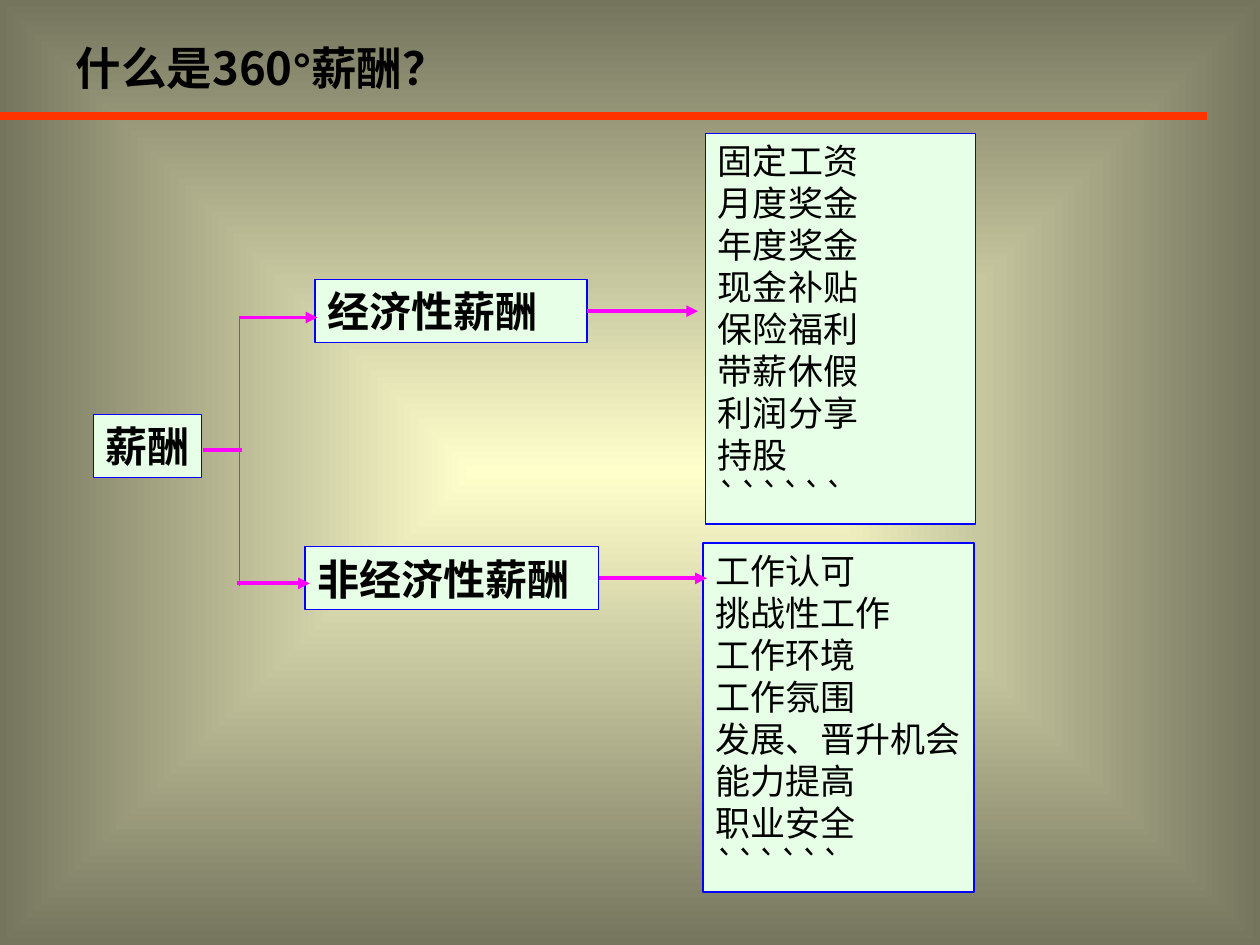
import pptx
import pptx.util
import pptx.dml.color
import pptx.enum.shapes
import pptx.enum.text
import pptx.oxml
import pptx.oxml.ns

Inches = pptx.util.Inches
RGBColor = pptx.dml.color.RGBColor
qn = pptx.oxml.ns.qn

FONT = "Noto Sans CJK SC"
BLACK = RGBColor(0x00, 0x00, 0x00)
CREAM = RGBColor(0xFF, 0xFF, 0xCC)
OLIVE = RGBColor(0x75, 0x75, 0x5E)
MINT = RGBColor(0xE7, 0xFF, 0xE7)
BLUE = RGBColor(0x00, 0x00, 0xFF)
RED = RGBColor(0xFF, 0x33, 0x00)
MAGENTA = RGBColor(0xFF, 0x00, 0xFF)

ECONOMIC = ["固定工资", "月度奖金", "年度奖金", "现金补贴", "保险福利",
            "带薪休假", "利润分享", "持股", "``````"]
NON_ECONOMIC = ["工作认可", "挑战性工作", "工作环境", "工作氛围",
                "发展、晋升机会", "能力提高", "职业安全", "``````"]


def add_text(p, text, size=20, bold=False, font=FONT, color=BLACK):
    """Append one formatted run to a paragraph."""
    r = p.add_run()
    r.text = text
    r.font.size = pptx.util.Pt(size)
    r.font.bold = bold
    r.font.name = font
    r.font.color.rgb = color
    ea = pptx.oxml.parse_xml(
        f'<a:ea {pptx.oxml.ns.nsdecls("a")} typeface="{FONT}"/>')
    r.font._element.find(qn("a:latin")).addnext(ea)


def add_box(s, box, lines, wrap=True, **fmt):
    """Draw a bordered box with one paragraph per line of text."""
    sp = s.shapes.add_shape(pptx.enum.shapes.MSO_SHAPE.RECTANGLE,
                            *map(Inches, box))
    sp.shadow.inherit = False
    sp.fill.solid()
    sp.fill.fore_color.rgb = MINT
    sp.line.color.rgb = BLUE
    sp.line.width = pptx.util.Pt(0.75)
    tf = sp.text_frame
    tf.word_wrap = wrap
    tf.vertical_anchor = pptx.enum.text.MSO_ANCHOR.TOP
    for i, text in enumerate(lines):
        p = tf.add_paragraph() if i else tf.paragraphs[0]
        p.alignment = pptx.enum.text.PP_ALIGN.LEFT
        add_text(p, text, **fmt)
    return sp


def add_line(s, x1, y1, x2, y2, color=MAGENTA, width=2.25, arrow=False):
    """Draw a straight line, with an optional arrowhead at its end."""
    c = s.shapes.add_connector(pptx.enum.shapes.MSO_CONNECTOR.STRAIGHT,
                               *map(Inches, (x1, y1, x2, y2)))
    c.line.color.rgb = color
    c.line.width = pptx.util.Pt(width)
    ns = pptx.oxml.ns.nsdecls("a")
    if arrow:
        c.line._get_or_add_ln().append(
            pptx.oxml.parse_xml(f'<a:tailEnd {ns} type="triangle"/>'))
    c._element.spPr.append(pptx.oxml.parse_xml(f"<a:effectLst {ns}/>"))
    return c


def set_background(s):
    """Rectangular gradient, light in the centre."""
    fill = s.background.fill
    fill.gradient()
    for stop, color, pos in zip(fill.gradient_stops, (CREAM, OLIVE), (0, 1)):
        stop.color.rgb = color
        stop.position = pos
    grad = s.background._cSld.find(".//" + qn("a:gradFill"))
    lin = grad.find(qn("a:lin"))
    grad.replace(lin, pptx.oxml.parse_xml(
        f'<a:path {pptx.oxml.ns.nsdecls("a")} path="rect"><a:fillToRect '
        'l="50000" t="50000" r="50000" b="50000"/></a:path>'))


def add_header(s, box):
    """Title with the red rule below it."""
    left, top, width, height = box
    sp = s.shapes.title
    sp.left, sp.top, sp.width, sp.height = map(Inches, box)
    tf = sp.text_frame
    tf.word_wrap = True
    tf.auto_size = pptx.enum.text.MSO_AUTO_SIZE.NONE
    tf.vertical_anchor = pptx.enum.text.MSO_ANCHOR.TOP
    p = tf.paragraphs[0]
    p.alignment = pptx.enum.text.PP_ALIGN.LEFT
    p.line_spacing = 1.8
    for text, font in (("什么是360", FONT), ("°", "Arial"), ("薪酬？", FONT)):
        add_text(p, text, size=26, bold=True, font=font)
    rule_y = top + height + 0.12
    add_line(s, 0, rule_y, 9.58, rule_y, color=RED, width=4.5)


def add_tree(s, box):
    """Pay splits into two kinds, each leading to its list of examples."""
    left, top, width, height = box
    label = dict(size=24, bold=True)

    # Boxes
    add_box(s, (left, top + 2.23, 0.86, 0.5), ["薪酬"], wrap=False, **label)
    economic = add_box(s, (left + 1.76, top + 1.16, 2.16, 0.5),
                       ["经济性薪酬"], **label)
    other = add_box(s, (left + 1.68, top + 3.28, 2.33, 0.5),
                    ["非经济性薪酬"], **label)
    add_box(s, (left + width - 2.14, top, 2.14, 3.1), ECONOMIC)
    add_box(s, (left + width - 2.16, top + height - 2.77, 2.15, 2.77),
            NON_ECONOMIC, wrap=False)

    # Arrows from each kind to its list
    for kind, x1, x2, y in ((economic, 3.92, 4.8, 1.41),
                            (other, 4.01, 4.87, 3.53)):
        c = add_line(s, left + x1, top + y, left + x2, top + y, arrow=True)
        c.begin_connect(kind, 3)

    # Branch from pay to the two kinds
    trunk = left + 1.16
    upper, lower = top + 1.46, top + 3.57
    add_line(s, trunk, upper, left + 1.78, upper, arrow=True)
    add_line(s, trunk - 0.02, lower, left + 1.72, lower, arrow=True)
    add_line(s, trunk, upper, trunk, lower + 0.02, width=0.75)
    add_line(s, left + 0.87, top + 2.51, trunk + 0.02, top + 2.51)


def main():
    prs = pptx.Presentation()
    prs.slide_width, prs.slide_height = Inches(10), Inches(7.5)
    s = prs.slides.add_slide(prs.slide_layouts[5])
    set_background(s)
    add_header(s, (0.5, -0.08, 6.75, 0.88))
    add_tree(s, (0.74, 1.06, 7, 6.02))
    prs.save("out.pptx")


if __name__ == "__main__":
    main()
